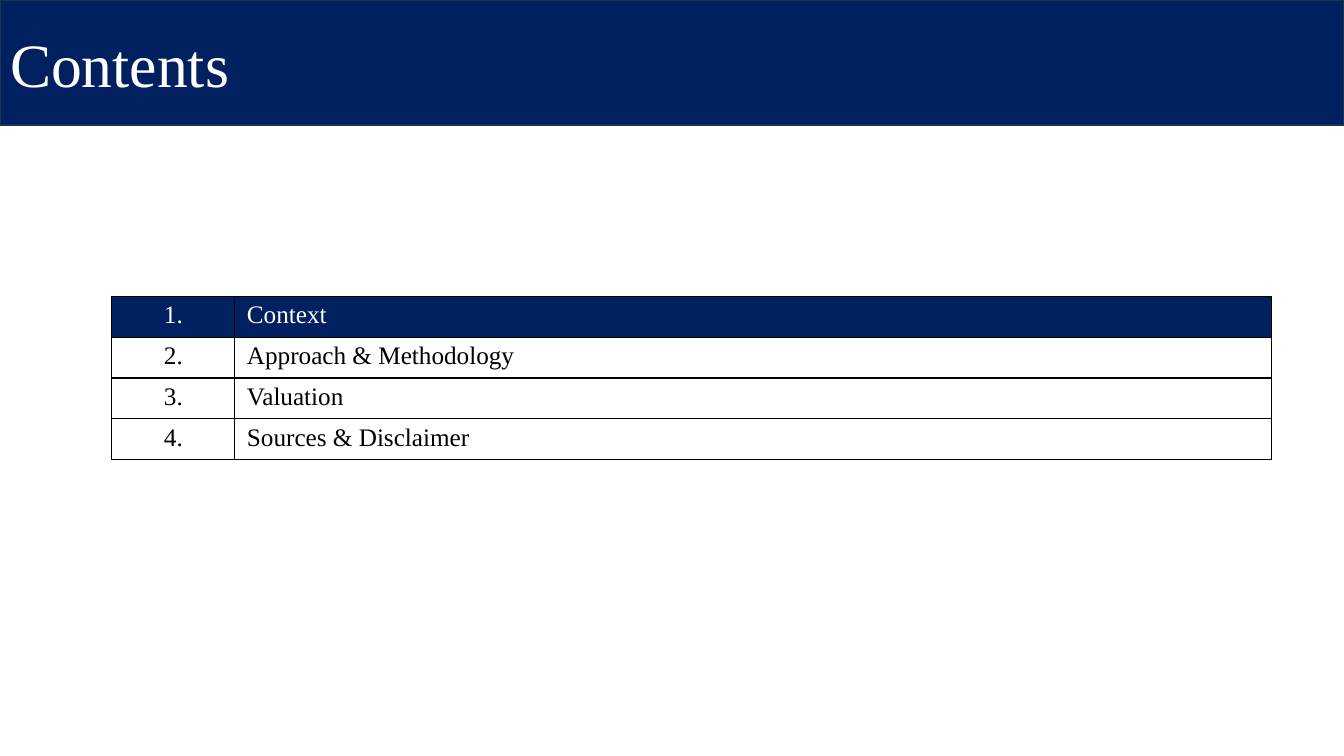
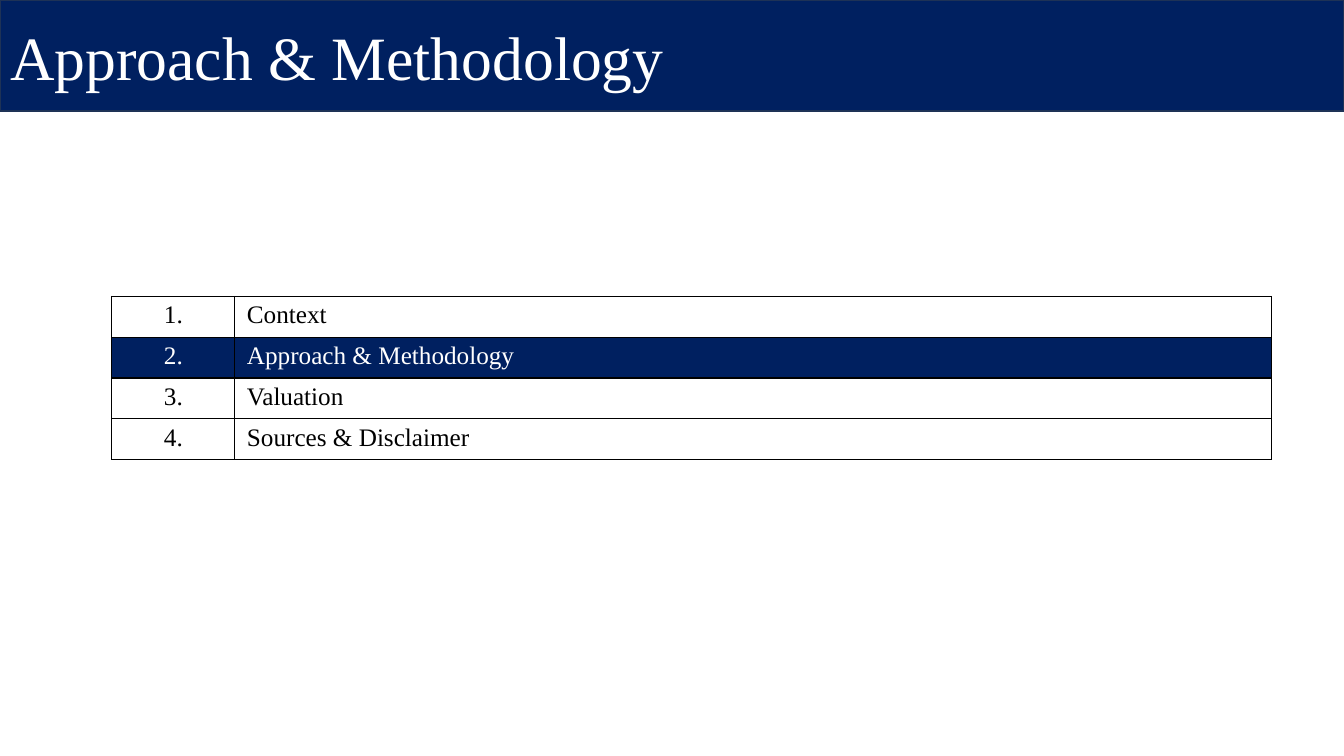
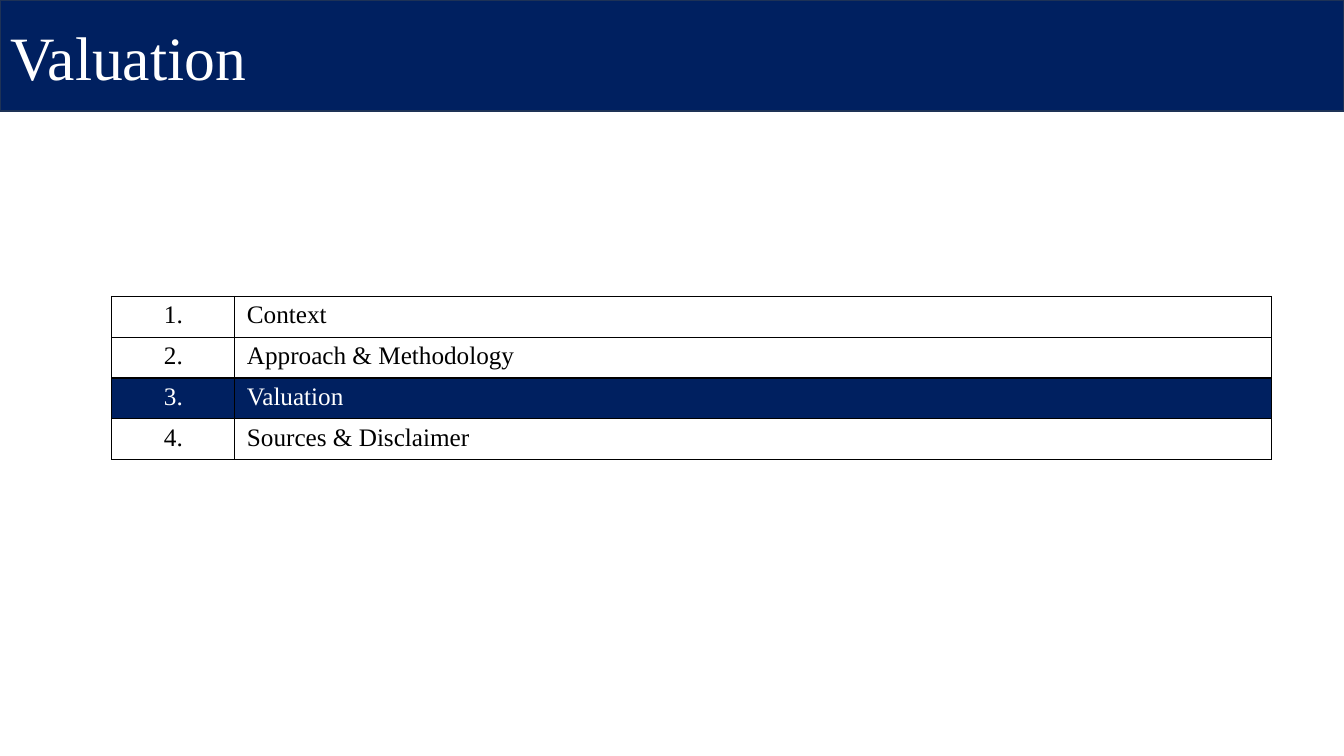
from dataclasses import dataclass

from lxml.etree import SubElement
from pptx import Presentation
from pptx.dml.color import RGBColor
from pptx.enum.text import MSO_ANCHOR, MSO_AUTO_SIZE, PP_ALIGN
from pptx.oxml.ns import qn
from pptx.util import Inches, Pt


@dataclass(frozen=True)
class Theme:
    navy: str = "002060"
    band_line: str = "1E3256"
    white: str = "FFFFFF"
    black: str = "000000"
    font: str = "Times New Roman"
    title_size: int = 44
    table_size: int = 18
    line_width: int = 1


THEME = Theme()
SLIDE_WIDTH, SLIDE_HEIGHT = 13.33, 7.5
TITLE_ONLY = 5
SECTIONS = ["Context", "Approach & Methodology", "Valuation", "Sources & Disclaimer"]
TABLE_LEFT, TABLE_TOP = 1.11, 2.94
COLUMN_WIDTHS = [1.22, 10.28]
ROW_HEIGHT = 0.405
CELL_MARGIN_X, CELL_MARGIN_Y = 0.12, 0.05

# Title, band height, index of the highlighted section
SLIDES = [
    ("Contents", 1.24, 0),
    ("Approach & Methodology", 1.1, 1),
    ("Valuation", 1.1, 2),
]


def write_text(text_frame, text, size, color, alignment):
    paragraph = text_frame.paragraphs[0]
    paragraph.alignment = alignment
    run = paragraph.add_run()
    run.text = text
    run.font.name = THEME.font
    run.font.size = Pt(size)
    run.font.color.rgb = RGBColor.from_string(color)


def add_title_band(slide, text, height):
    """Turn the title placeholder into a filled band across the slide top."""
    title = slide.shapes.title
    title.left = title.top = Inches(0)
    title.width, title.height = Inches(SLIDE_WIDTH), Inches(height)
    title.fill.solid()
    title.fill.fore_color.rgb = RGBColor.from_string(THEME.navy)
    title.line.color.rgb = RGBColor.from_string(THEME.band_line)
    title.line.width = Pt(THEME.line_width)
    title.text_frame.auto_size = MSO_AUTO_SIZE.NONE
    title.text_frame.vertical_anchor = MSO_ANCHOR.MIDDLE
    write_text(title.text_frame, text, THEME.title_size, THEME.white, PP_ALIGN.LEFT)


def add_cell_borders(cell):
    """Draw all four sides; call before filling, as borders precede the fill in XML."""
    properties = cell._tc.get_or_add_tcPr()
    for side in ("a:lnL", "a:lnR", "a:lnT", "a:lnB"):
        border = SubElement(properties, qn(side), w=str(Pt(THEME.line_width)))
        fill = SubElement(border, qn("a:solidFill"))
        SubElement(fill, qn("a:srgbClr"), val=THEME.black)


def format_cell(cell, text, alignment, highlighted):
    add_cell_borders(cell)
    cell.margin_left = cell.margin_right = Inches(CELL_MARGIN_X)
    cell.margin_top = cell.margin_bottom = Inches(CELL_MARGIN_Y)
    if highlighted:
        cell.fill.solid()
        cell.fill.fore_color.rgb = RGBColor.from_string(THEME.navy)
    else:
        cell.fill.background()
    color = THEME.white if highlighted else THEME.black
    write_text(cell.text_frame, text, THEME.table_size, color, alignment)


def add_agenda_table(slide, current):
    frame = slide.shapes.add_table(
        len(SECTIONS), len(COLUMN_WIDTHS),
        Inches(TABLE_LEFT), Inches(TABLE_TOP),
        Inches(sum(COLUMN_WIDTHS)), Inches(ROW_HEIGHT * len(SECTIONS)),
    )
    table = frame.table
    table.first_row = table.horz_banding = False
    for column, width in zip(table.columns, COLUMN_WIDTHS):
        column.width = Inches(width)
    for index, section in enumerate(SECTIONS):
        table.rows[index].height = Inches(ROW_HEIGHT)
        highlighted = index == current
        format_cell(table.cell(index, 0), f"{index + 1}.", PP_ALIGN.CENTER, highlighted)
        format_cell(table.cell(index, 1), section, PP_ALIGN.LEFT, highlighted)


def main():
    presentation = Presentation()
    presentation.slide_width = Inches(SLIDE_WIDTH)
    presentation.slide_height = Inches(SLIDE_HEIGHT)
    for title, band_height, current in SLIDES:
        slide = presentation.slides.add_slide(presentation.slide_layouts[TITLE_ONLY])
        add_title_band(slide, title, band_height)
        add_agenda_table(slide, current)
    presentation.save("out.pptx")


if __name__ == "__main__":
    main()
